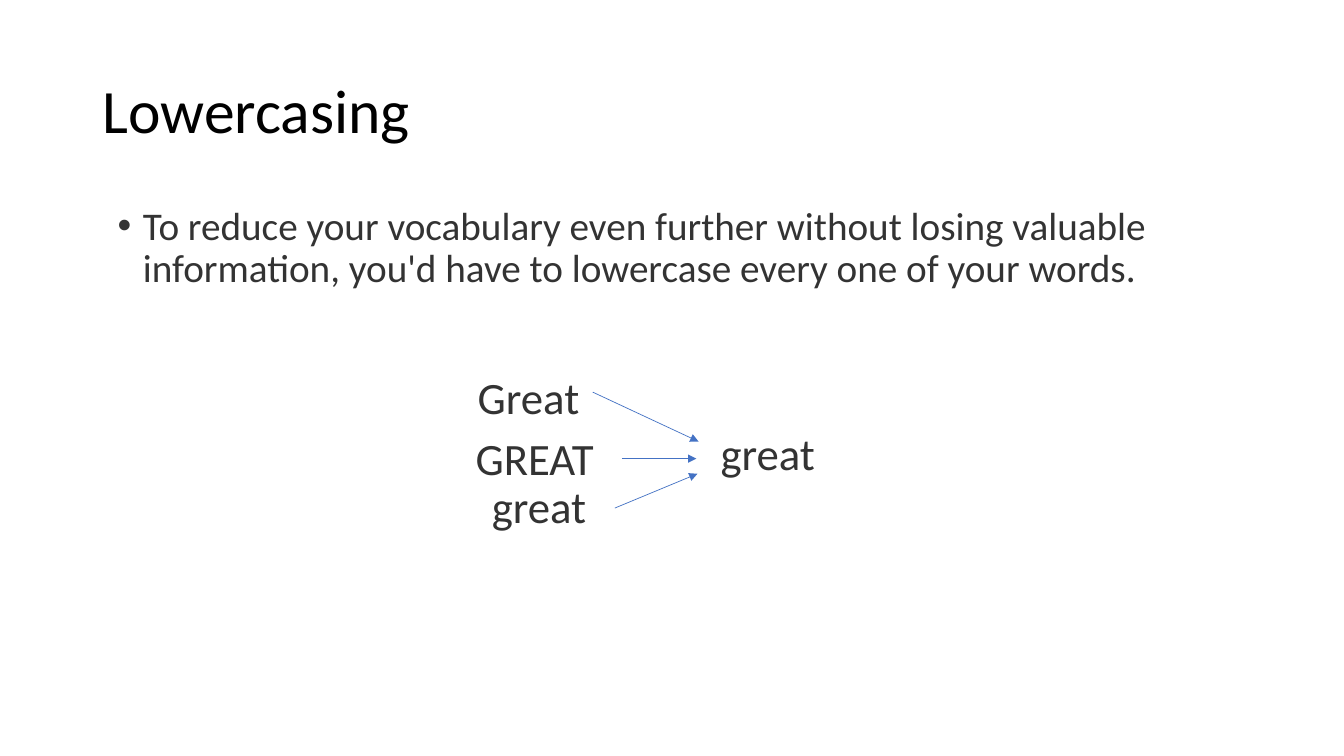
from dataclasses import dataclass

from lxml.etree import SubElement
from pptx import Presentation
from pptx.dml.color import RGBColor
from pptx.enum.shapes import MSO_CONNECTOR as Connector
from pptx.enum.text import MSO_ANCHOR as Anchor, MSO_AUTO_SIZE as AutoSize, PP_ALIGN as Align
from pptx.oxml.ns import qn
from pptx.slide import Slide
from pptx.text.text import TextFrame, _Paragraph as Paragraph
from pptx.util import Pt

COLORS = {"title": "000000", "text": "333333", "arrow": "4472C4"}
FONT = "Calibri"


@dataclass(frozen=True)
class Word:
    text: str
    left: float
    top: float
    width: float


@dataclass(frozen=True)
class Arrow:
    start: tuple[float, float]
    end: tuple[float, float]


WORD_HEIGHT = 46
WORDS = [
    Word("Great", 334.1, 260.6, 104.4),
    Word("GREAT", 332.6, 303.8, 133.9),
    Word("great", 344.2, 338.4, 108.7),
    Word("great", 507.6, 300.2, 115.9),
]
ARROWS = [
    Arrow((423.4, 280.1), (499, 315.4)),
    Arrow((444.2, 327.6), (497.5, 327.6)),
    Arrow((439.2, 362.9), (498.2, 338.4)),
]


def write_text(frame: TextFrame, text: str, *, size: float, color: str,
               line_spacing: float = 1.0, space_before: float = 0,
               anchor: Anchor = Anchor.TOP) -> Paragraph:
    frame.word_wrap = True
    frame.auto_size = AutoSize.NONE
    frame.vertical_anchor = anchor
    paragraph = frame.paragraphs[0]
    paragraph.alignment = Align.LEFT
    paragraph.line_spacing = line_spacing
    paragraph.space_before = Pt(space_before)
    run = paragraph.add_run()
    run.text = text
    run.font.name = FONT
    run.font.size = Pt(size)
    run.font.color.rgb = RGBColor.from_string(COLORS[color])
    return paragraph


def add_bullet(paragraph: Paragraph, indent: float) -> None:
    properties = paragraph._p.get_or_add_pPr()
    properties.set("marL", str(Pt(indent)))
    properties.set("indent", str(-Pt(indent)))
    SubElement(properties, qn("a:buFont"), typeface="Arial")
    SubElement(properties, qn("a:buChar"), char="•")


def add_title(slide: Slide) -> None:
    title = slide.shapes.title
    title.left, title.top, title.width, title.height = Pt(66), Pt(28.8), Pt(828), Pt(104.4)
    write_text(title.text_frame, "Lowercasing", size=44, color="title",
               line_spacing=0.9, anchor=Anchor.MIDDLE)


def add_explanation(slide: Slide) -> None:
    box = slide.shapes.add_textbox(Pt(77), Pt(144), Pt(761.8), Pt(342.7))
    paragraph = write_text(
        box.text_frame,
        "To reduce your vocabulary even further without losing valuable information, "
        "you'd have to lowercase every one of your words.",
        size=28, color="text", line_spacing=0.9, space_before=10)
    add_bullet(paragraph, 18)


def add_arrow(slide: Slide, arrow: Arrow) -> None:
    connector = slide.shapes.add_connector(
        Connector.STRAIGHT, *map(Pt, arrow.start), *map(Pt, arrow.end))
    connector.line.width = Pt(0.5)
    connector.line.color.rgb = RGBColor.from_string(COLORS["arrow"])
    SubElement(connector.line._get_or_add_ln(), qn("a:tailEnd"), type="triangle")
    SubElement(connector._element.spPr, qn("a:effectLst"))


def add_word(slide: Slide, word: Word) -> None:
    box = slide.shapes.add_textbox(Pt(word.left), Pt(word.top), Pt(word.width), Pt(WORD_HEIGHT))
    write_text(box.text_frame, word.text, size=32, color="text")
    box.text_frame.auto_size = AutoSize.SHAPE_TO_FIT_TEXT


def main() -> None:
    presentation = Presentation()
    presentation.slide_width, presentation.slide_height = Pt(960), Pt(540)
    title_only = presentation.slide_layouts.get_by_name("Title Only")
    slide = presentation.slides.add_slide(title_only)
    add_title(slide)
    add_explanation(slide)
    for arrow in ARROWS:
        add_arrow(slide, arrow)
    for word in WORDS:
        add_word(slide, word)
    presentation.save("out.pptx")


if __name__ == "__main__":
    main()
